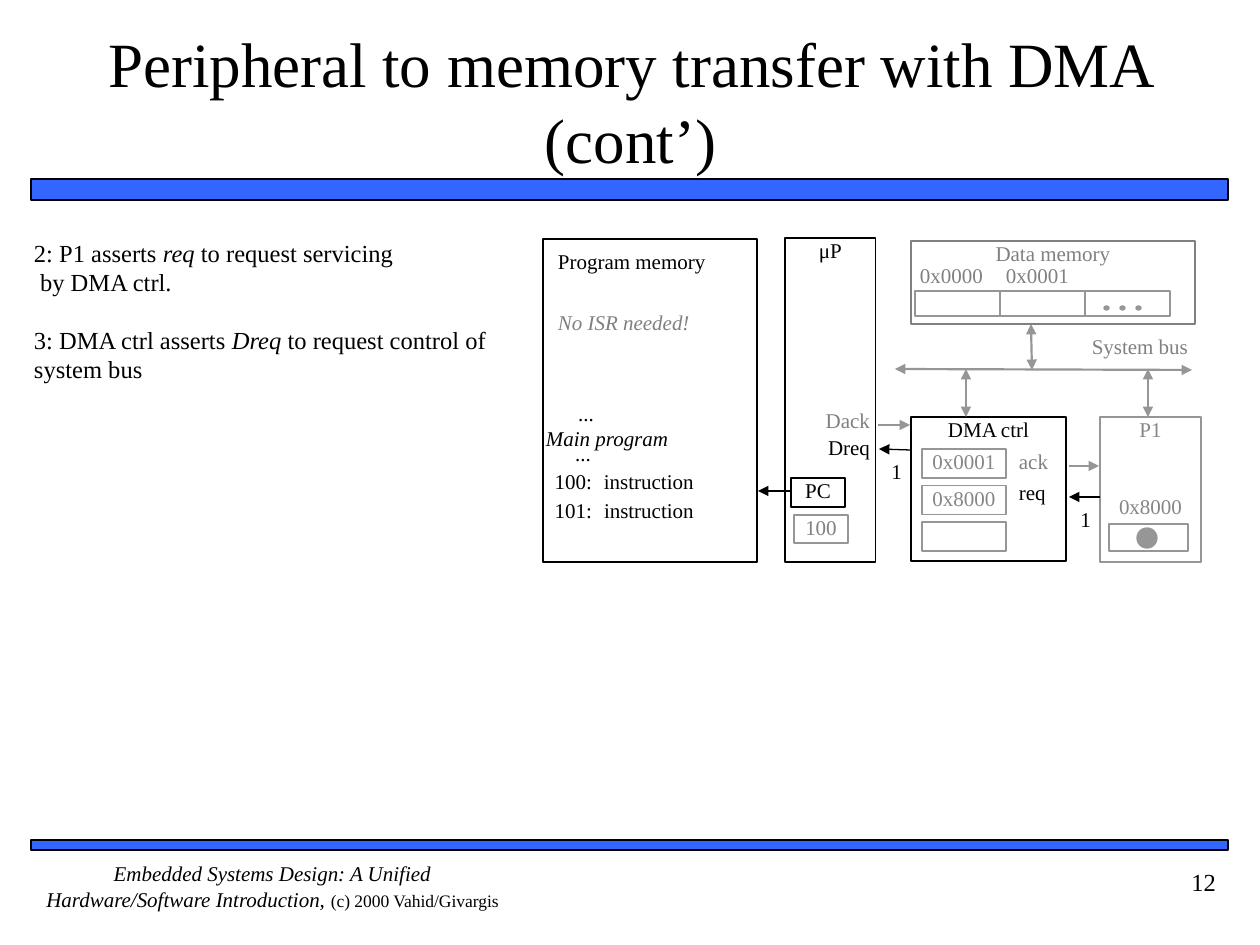
from lxml import etree
from pptx import Presentation
from pptx import util as u
from pptx.dml.color import RGBColor
from pptx.enum import shapes, text
from pptx.oxml.ns import qn

PX = 914400 // 126  # EMU per px
FONT = "Times New Roman"
BLACK = RGBColor(0x00, 0x00, 0x00)
WHITE = RGBColor(0xFF, 0xFF, 0xFF)
BLUE = RGBColor(0x33, 0x66, 0xFF)
GRAY = RGBColor(0x80, 0x80, 0x80)
VALUE_GRAY = RGBColor(0x86, 0x86, 0x86)
LINE_GRAY = RGBColor(0x96, 0x96, 0x96)
LEFT, CENTER, RIGHT = text.PP_ALIGN.LEFT, text.PP_ALIGN.CENTER, text.PP_ALIGN.RIGHT
RECT, OVAL = shapes.MSO_SHAPE.RECTANGLE, shapes.MSO_SHAPE.OVAL

# Content: paragraphs are lists of (text, format) runs
TITLE = [[("Peripheral to memory transfer with DMA (cont’)", {"size": u.Pt(36)})]]
STEP = {"size": u.Pt(14)}
STEP_NAME = {"size": u.Pt(14), "italic": True}
STEPS = [
    [("2: P1 asserts ", STEP), ("req", STEP_NAME), (" to request servicing", STEP)],
    [(" by DMA ctrl.", STEP)],
    [("3: DMA ctrl asserts ", STEP), ("Dreq", STEP_NAME),
     (" to request control of system bus", STEP)],
]
FOOTER = [[("Embedded Systems Design: A Unified Hardware/Software Introduction, ",
            {"italic": True}),
           ("(c) 2000 Vahid/Givargis", {"size": u.Pt(10)})]]
PAGE_NUMBER = [[("12", STEP)]]

# Bars: left, top, width, height
BARS = [(31, 179, 1197, 21), (31, 840, 1197, 10)]

# Blocks: box, fill, line colour, label, label colour
BLOCKS = [
    ((911, 241, 284, 83), None, GRAY, "Data memory", GRAY),
    ((785, 238, 91, 324), WHITE, BLACK, "μP", BLACK),
    ((911, 417, 155, 144), WHITE, BLACK, "DMA ctrl", BLACK),
    ((1100, 417, 101, 145), None, LINE_GRAY, "P1", VALUE_GRAY),
    ((1109, 524, 79, 27), WHITE, LINE_GRAY, "", GRAY),
    ((543, 239, 214, 323), WHITE, BLACK, "", BLACK),
    ((791, 478, 54, 29), WHITE, BLACK, "PC", BLACK),
    ((794, 515, 54, 28), WHITE, LINE_GRAY, "100", GRAY),
]
MEMORY_CELLS = 3
DMA_REGISTERS = ["0x0001", "0x8000", ""]

# Labels: text, box, alignment, colour, italic
LABELS = [
    ("Program memory", (558, 249, 198, 32), LEFT, BLACK, False),
    ("No ISR needed!", (558, 310, 185, 28), LEFT, GRAY, True),
    ("...", (558, 401, 36, 26), RIGHT, BLACK, False),
    ("Main program", (546, 426, 169, 31), LEFT, BLACK, True),
    ("...", (555, 441, 36, 26), RIGHT, BLACK, False),
    ("100:", (532, 469, 60, 26), RIGHT, BLACK, False),
    ("instruction", (604, 469, 126, 31), LEFT, BLACK, False),
    ("101:", (542, 498, 50, 23), RIGHT, BLACK, False),
    ("instruction", (604, 498, 130, 25), LEFT, BLACK, False),
    ("0x0000", (920, 263, 82, 25), LEFT, GRAY, False),
    ("0x0001", (1006, 263, 87, 25), LEFT, GRAY, False),
    ("System bus", (1076, 334, 128, 40), CENTER, GRAY, False),
    ("Dack", (810, 408, 60, 33), RIGHT, GRAY, False),
    ("Dreq", (810, 435, 60, 33), RIGHT, BLACK, False),
    ("1", (882, 459, 29, 25), CENTER, BLACK, False),
    ("ack", (1019, 449, 44, 34), LEFT, GRAY, False),
    ("req", (1019, 480, 44, 34), LEFT, BLACK, False),
    ("1", (1071, 507, 29, 25), CENTER, BLACK, False),
    ("0x8000", (1110, 494, 81, 28), CENTER, VALUE_GRAY, False),
]

# Arrows: from, to, colour, width in points, both ends
ARROWS = [
    ((895, 369), (1192, 370), LINE_GRAY, 1.25, True),
    ((966, 369), (966, 417), LINE_GRAY, 1.25, True),
    ((1148, 369), (1148, 417), LINE_GRAY, 1.25, True),
    ((1031, 324), (1032, 370), LINE_GRAY, 1.25, True),
    ((791, 491), (758, 491), BLACK, 1.25, False),
    ((878, 425), (910, 425), LINE_GRAY, 0.75, False),
    ((910, 450), (879, 449), BLACK, 0.75, False),
    ((1069, 466), (1099, 466), LINE_GRAY, 0.75, False),
    ((1100, 497), (1069, 497), BLACK, 0.75, False),
]

presentation = Presentation()
presentation.slide_width = 1260 * PX
presentation.slide_height = 945 * PX
slide = presentation.slides.add_slide(presentation.slide_layouts[6])


def write(shape, paragraphs, alignment=LEFT, margins=(0, 0),
          anchor=text.MSO_ANCHOR.TOP):
    frame = shape.text_frame
    side, end = (margin * PX for margin in margins)
    settings = {"word_wrap": True, "vertical_anchor": anchor, "margin_left": side,
                "margin_right": side, "margin_top": end, "margin_bottom": end}
    for name, value in settings.items():
        setattr(frame, name, value)
    for index, runs in enumerate(paragraphs):
        paragraph = frame.add_paragraph() if index else frame.paragraphs[0]
        paragraph.alignment = alignment
        for words, changes in runs:
            run = paragraph.add_run()
            run.text = words
            formats = {"name": FONT, "size": u.Pt(12), "italic": False, **changes}
            run.font.color.rgb = formats.pop("color", BLACK)
            for name, value in formats.items():
                setattr(run.font, name, value)
    return frame


def add_text(box, paragraphs, **layout):
    shape = slide.shapes.add_textbox(*(value * PX for value in box))
    return write(shape, paragraphs, **layout)


def add_block(box, fill, line, label="", color=BLACK, kind=RECT, width=0.75):
    shape = slide.shapes.add_shape(kind, *(round(value * PX) for value in box))
    shape.shadow.inherit = False
    if fill is None:
        shape.fill.background()
    else:
        shape.fill.solid()
        shape.fill.fore_color.rgb = fill
    shape.line.color.rgb = line
    shape.line.width = u.Pt(width)
    if label:
        write(shape, [[(label, {"color": color})]], CENTER)


def add_arrow(start, end, color, width, both):
    points = [value * PX for value in (*start, *end)]
    connector = slide.shapes.add_connector(shapes.MSO_CONNECTOR.STRAIGHT, *points)
    connector.line.color.rgb = color
    connector.line.width = u.Pt(width)
    line = connector.line._get_or_add_ln()
    for tag in ["a:headEnd", "a:tailEnd"] if both else ["a:tailEnd"]:
        etree.SubElement(line, qn(tag), type="triangle")
    etree.SubElement(connector._element.spPr, qn("a:effectLst"))


# Frame of the slide: bars, title, footer, page number
for bar in BARS:
    add_block(bar, BLUE, BLACK, width=1)
add_text((53, 21, 1155, 158), TITLE, alignment=CENTER, margins=(0, 6),
         anchor=text.MSO_ANCHOR.MIDDLE)
add_text((31, 861, 483, 63), FOOTER, alignment=CENTER)
add_text((1103, 861, 126, 63), PAGE_NUMBER, alignment=RIGHT, margins=(13, 6))

# Steps, with one line of space before the second
steps = add_text((34, 238, 459, 169), STEPS)
steps.paragraphs[2].space_before = u.Pt(16)

# Blocks, memory cells and DMA registers
for block in BLOCKS:
    add_block(*block)
for index in range(MEMORY_CELLS):
    add_block((915 + 85 * index, 291, 85, 25), None, LINE_GRAY)
for index, value in enumerate(DMA_REGISTERS):
    add_block((922, 449 + 36.5 * index, 84, 29), None, LINE_GRAY, value, VALUE_GRAY)

# Ellipsis dots in the last cell and the data item in P1
for index in range(3):
    add_block((1104 + 16 * index, 306, 5, 4), LINE_GRAY, LINE_GRAY, kind=OVAL)
add_block((1137, 528, 20, 20), LINE_GRAY, LINE_GRAY, kind=OVAL)

# Labels and arrows
for words, box, alignment, color, italic in LABELS:
    add_text(box, [[(words, {"color": color, "italic": italic})]], alignment=alignment)
for arrow in ARROWS:
    add_arrow(*arrow)

presentation.save("out.pptx")
